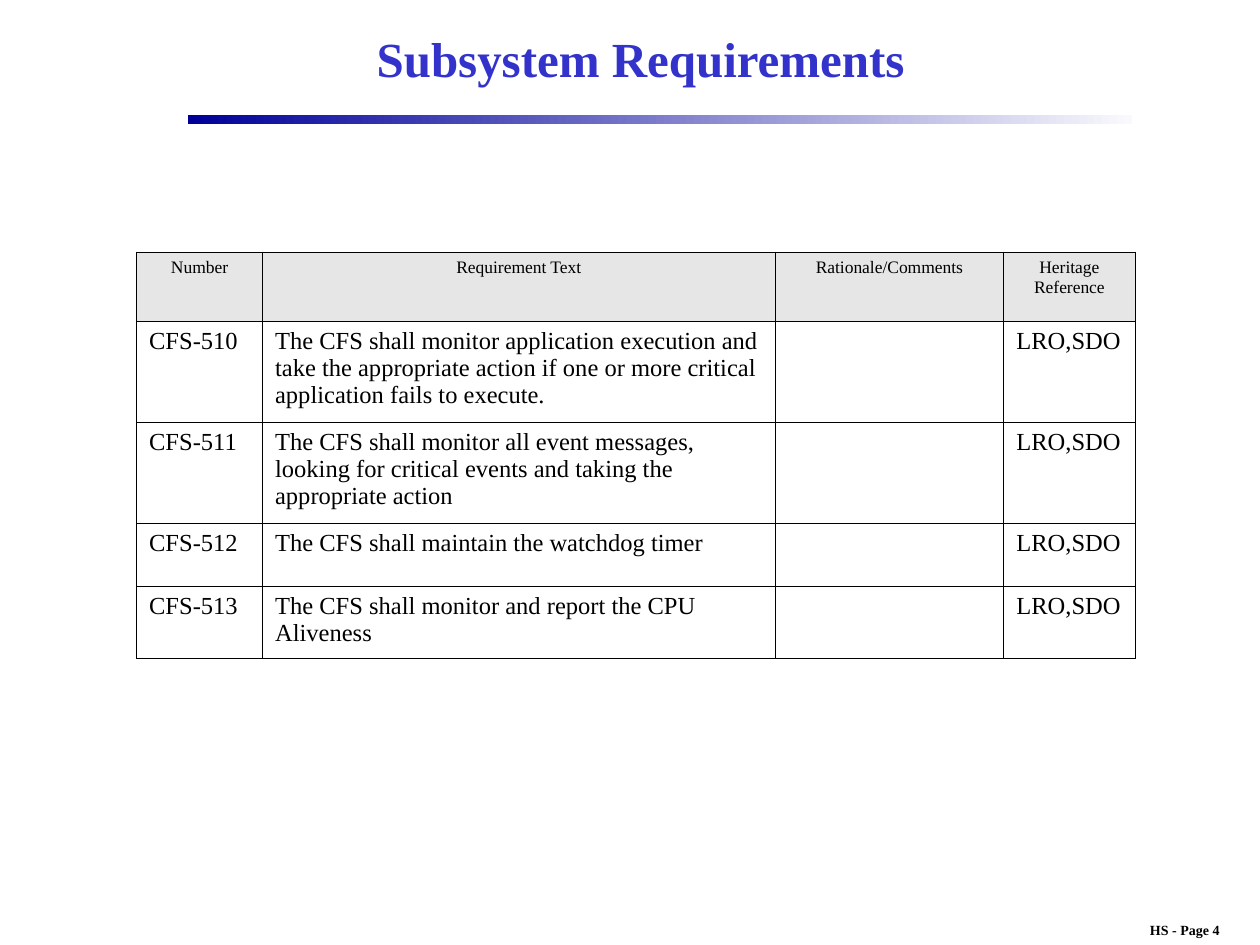
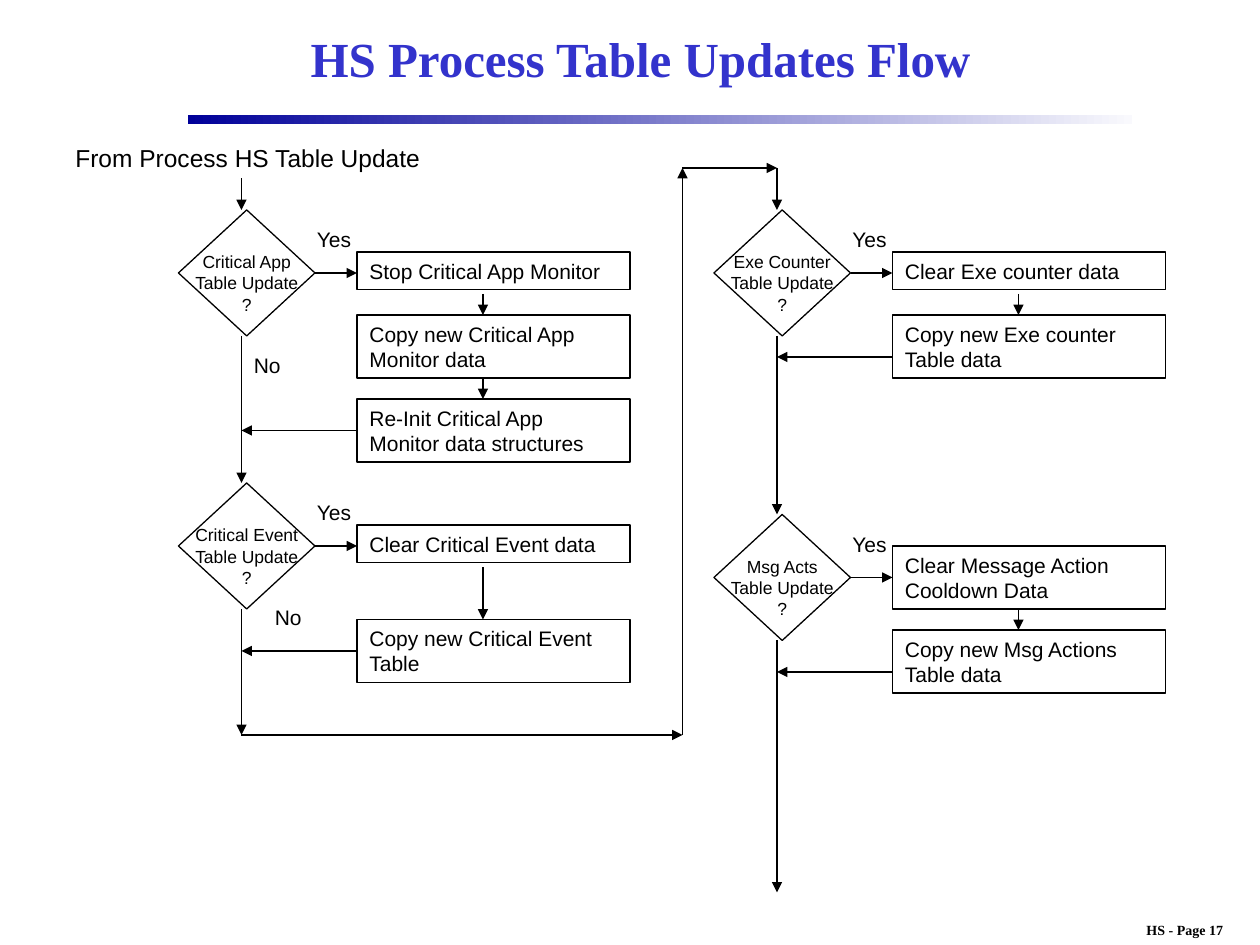
import pptx
import pptx.util
import pptx.dml.color
import pptx.enum.shapes
import pptx.enum.text
import pptx.oxml.ns
import lxml.etree

# Content: places and sizes are columns and rows of a grid, 120 by 90
REQS = {
    "title": "Subsystem Requirements",
    "page": 4,
    "head": ["Number", "Requirement Text", "Rationale/Comments",
             "Heritage Reference"],
    "rows": [
        ["CFS-510", "The CFS shall monitor application execution and take the "
         "appropriate action if one or more critical application fails to "
         "execute.", "", "LRO,SDO"],
        ["CFS-511", "The CFS shall monitor all event messages, looking for "
         "critical events and taking the appropriate action", "", "LRO,SDO"],
        ["CFS-512", "The CFS shall maintain the watchdog timer", "",
         "LRO,SDO"],
        ["CFS-513", "The CFS shall monitor and report the CPU Aliveness", "",
         "LRO,SDO"],
    ],
    "left": 13, "top": 24,
    "widths": [12, 48.8, 21.8, 12.5],
    "heights": [6.6, 9.6, 9.6, 6, 6.9],
}
FLOW = {
    "title": "HS Process Table Updates Flow",
    "page": 17,
    "start": "From Process HS Table Update",
    # left column, top row, question, end row of the trunk, return row,
    # steps (top row, height in rows, text)
    "tests": [
        (17, 20, "Critical App", 46, 41, [
            (24, 3.6, "Stop Critical App Monitor"),
            (30, 6, "Copy new Critical App Monitor data"),
            (38, 6, "Re-Init Critical App Monitor data structures")]),
        (17, 46, "Critical Event", 70, 62, [
            (50, 3.6, "Clear Critical Event data"),
            (59, 6, "Copy new Critical Event Table")]),
        (68, 20, "Exe Counter", 49, 34, [
            (24, 3.6, "Clear Exe counter data"),
            (30, 6, "Copy new Exe counter Table data")]),
        (68, 49, "Msg Acts", 85, 64, [
            (52, 6, "Clear Message Action Cooldown Data"),
            (60, 6, "Copy new Msg Actions Table data")]),
    ],
    "no": [(23, 33), (25, 57)],
    "entry": [(23, 17), (23, 20)],
    "link": [(23, 70), (65, 70), (65, 16), (74, 16), (74, 20)],
}


class Theme:
    """Colours, fonts, type sizes and line widths."""
    ink, paper, title = "000000", "FFFFFF", "3333CC"
    head, bar = "E6E6E6", ("000099", "F9F9FD")
    serif, sans = "Times New Roman", "Arial"
    big, body, step, small, foot = 28, 14, 12, 10, 8
    line, rule = 0.74, 0.45


WIDE, HIGH = pptx.util.Inches(10), pptx.util.Inches(7.5)
UNIT = WIDE / 120
LEFT, MID = pptx.enum.text.PP_ALIGN.LEFT, pptx.enum.text.PP_ALIGN.CENTER
TOP, CORE = pptx.enum.text.MSO_ANCHOR.TOP, pptx.enum.text.MSO_ANCHOR.MIDDLE
SHAPE = pptx.enum.shapes.MSO_SHAPE
Pt = pptx.util.Pt


def grid(*cells):
    """Turn grid counts into lengths."""
    return [pptx.util.Emu(round(cell * UNIT)) for cell in cells]


def tint(code):
    """Make a colour from its hex code."""
    return pptx.dml.color.RGBColor.from_string(code)


def write(frame, lines, size, font=Theme.sans, color=Theme.ink, bold=False,
          align=LEFT):
    """Put each line in a paragraph of one run."""
    for num, line in enumerate(lines):
        para = frame.add_paragraph() if num else frame.paragraphs[0]
        para.alignment = align
        run = para.add_run()
        run.text = line
        run.font.size, run.font.name, run.font.bold = Pt(size), font, bold
        run.font.color.rgb = tint(color)


def label(slide, at, text, size, anchor=TOP, wrap=True, **style):
    """Add a text box."""
    frame = slide.shapes.add_textbox(*grid(*at)).text_frame
    frame.word_wrap, frame.vertical_anchor = wrap, anchor
    write(frame, [text], size, **style)


def block(slide, kind, at, fill=None):
    """Add an outlined shape and return it."""
    shape = slide.shapes.add_shape(kind, *grid(*at))
    shape.shadow.inherit = False
    if fill:
        shape.fill.solid()
        shape.fill.fore_color.rgb = tint(fill)
    else:
        shape.fill.background()
    shape.line.color.rgb = tint(Theme.ink)
    shape.line.width = Pt(Theme.line)
    return shape


def arrow(slide, start, end):
    """Draw a straight arrow between two grid points."""
    line = slide.shapes.add_connector(
        pptx.enum.shapes.MSO_CONNECTOR.STRAIGHT, *grid(*start, *end))
    line.line.color.rgb = tint(Theme.ink)
    line.line.width = Pt(Theme.line)
    qn = pptx.oxml.ns.qn
    tail = lxml.etree.SubElement(line.line._get_or_add_ln(), qn("a:tailEnd"))
    tail.set("type", "triangle")
    lxml.etree.SubElement(line._element.spPr, qn("a:effectLst"))


def page(deck, data):
    """Add a slide with the shared title, bar and footer."""
    slide = deck.slides.add_slide(deck.slide_layouts[6])
    label(slide, (105.6, 87.2, 14.5, 2.8), f"HS - Page {data['page']}",
          Theme.foot, font=Theme.serif, bold=True, align=MID)
    bar = block(slide, SHAPE.RECTANGLE, (17.9, 11, 89.9, 0.85))
    bar.line.fill.background()
    bar.fill.gradient()
    bar.fill.gradient_angle = 0
    for num, stop in enumerate(bar.fill.gradient_stops):
        stop.color.rgb, stop.position = tint(Theme.bar[num]), num
    label(slide, (18, 1, 86, 9), data["title"], Theme.big, anchor=CORE,
          font=Theme.serif, color=Theme.title, bold=True, align=MID)
    return slide


def edge(cell):
    """Rule all four sides of a table cell."""
    qn = pptx.oxml.ns.qn
    props = cell._tc.get_or_add_tcPr()
    for side in ("lnL", "lnR", "lnT", "lnB"):
        line = lxml.etree.SubElement(props, qn("a:" + side))
        line.set("w", str(Pt(Theme.rule)))
        fill = lxml.etree.SubElement(line, qn("a:solidFill"))
        lxml.etree.SubElement(fill, qn("a:srgbClr")).set("val", Theme.ink)


def chart(slide, data):
    """Build the table of requirements."""
    rows = [data["head"], *data["rows"]]
    wide, high = data["widths"], data["heights"]
    at = grid(data["left"], data["top"], sum(wide), sum(high))
    table = slide.shapes.add_table(len(rows), len(wide), *at).table
    table.first_row = table.horz_banding = False
    for col, size in zip(table.columns, grid(*wide)):
        col.width = size
    for row, size in zip(table.rows, grid(*high)):
        row.height = size
    for r, row in enumerate(rows):
        for c, text in enumerate(row):
            cell = table.cell(r, c)
            edge(cell)
            cell.fill.solid()
            cell.fill.fore_color.rgb = tint(Theme.paper if r else Theme.head)
            if text:
                write(cell.text_frame, [text],
                      Theme.body if r else Theme.small, font=Theme.serif,
                      align=LEFT if r else MID)


def test(slide, left, top, name, end, back, steps):
    """Draw one question with its steps and arrows."""
    gem = block(slide, SHAPE.DIAMOND, (left, top, 13, 12), Theme.paper)
    frame = gem.text_frame
    frame.word_wrap, frame.vertical_anchor = False, CORE
    # The inset sets the words a little below the middle
    frame.margin_top, frame.margin_bottom = grid(1.92, 0)
    write(frame, [name, "Table Update", "?"], Theme.small, align=MID)

    trunk, side, down = left + 6, left + 17, left + 29
    arrow(slide, (trunk, top + 12), (trunk, end))
    arrow(slide, (left + 13, top + 6), (side, top + 6))
    arrow(slide, (side, back), (trunk, back))
    label(slide, (left + 12, top + 1, 6, 3.6), "Yes", Theme.step)
    for row, high, text in steps:
        box = block(slide, SHAPE.RECTANGLE, (side, row, 26, high))
        box.text_frame.word_wrap = True
        box.text_frame.vertical_anchor = TOP
        write(box.text_frame, [text], Theme.step)
    for (row, high, _), (after, _, _) in zip(steps, steps[1:]):
        arrow(slide, (down, row + round(high)), (down, after))


def flow(slide, data):
    """Build the flow chart."""
    label(slide, (6, 13, 35.5, 4), data["start"], Theme.body, wrap=False)
    for item in data["tests"]:
        test(slide, *item)
    for left, top in data["no"]:
        label(slide, (left, top, 6, 3.6), "No", Theme.step)
    for points in (data["entry"], data["link"]):
        for start, end in zip(points, points[1:]):
            arrow(slide, start, end)


deck = pptx.Presentation()
deck.slide_width, deck.slide_height = WIDE, HIGH
chart(page(deck, REQS), REQS)
flow(page(deck, FLOW), FLOW)
deck.save("out.pptx")
